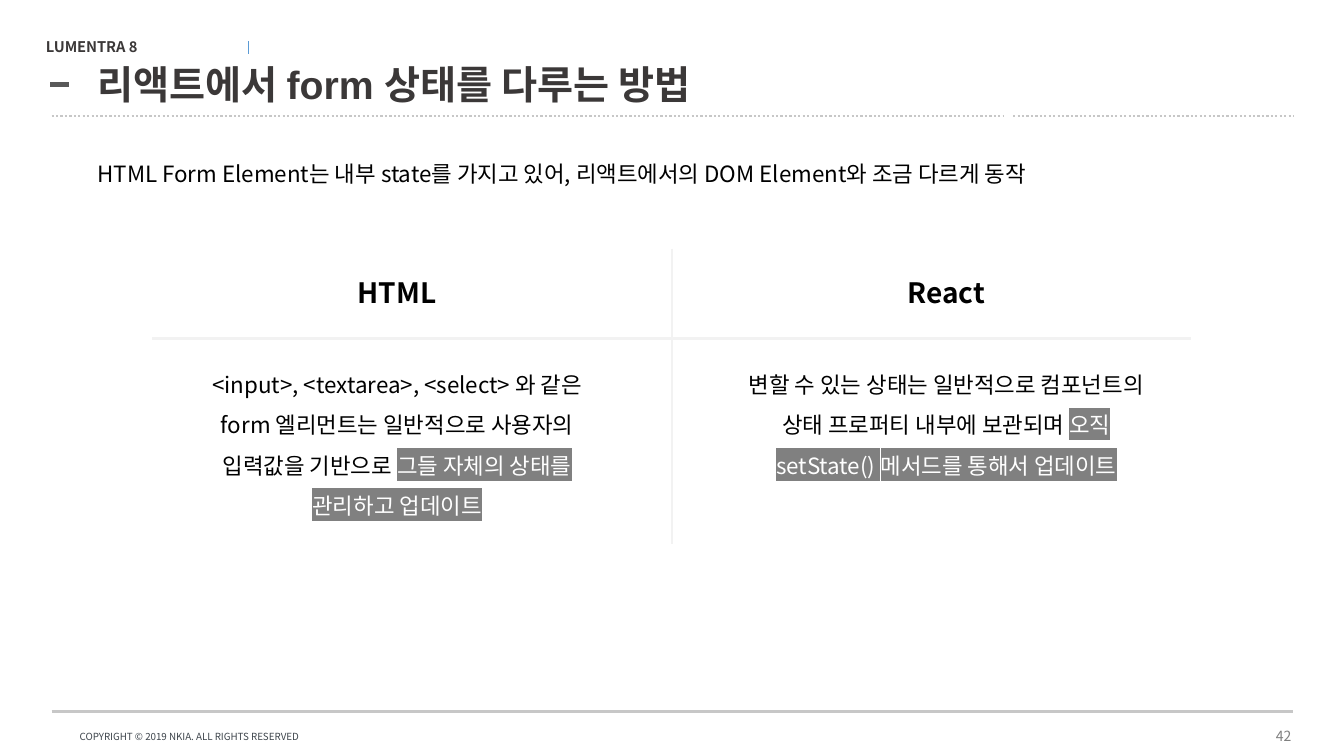
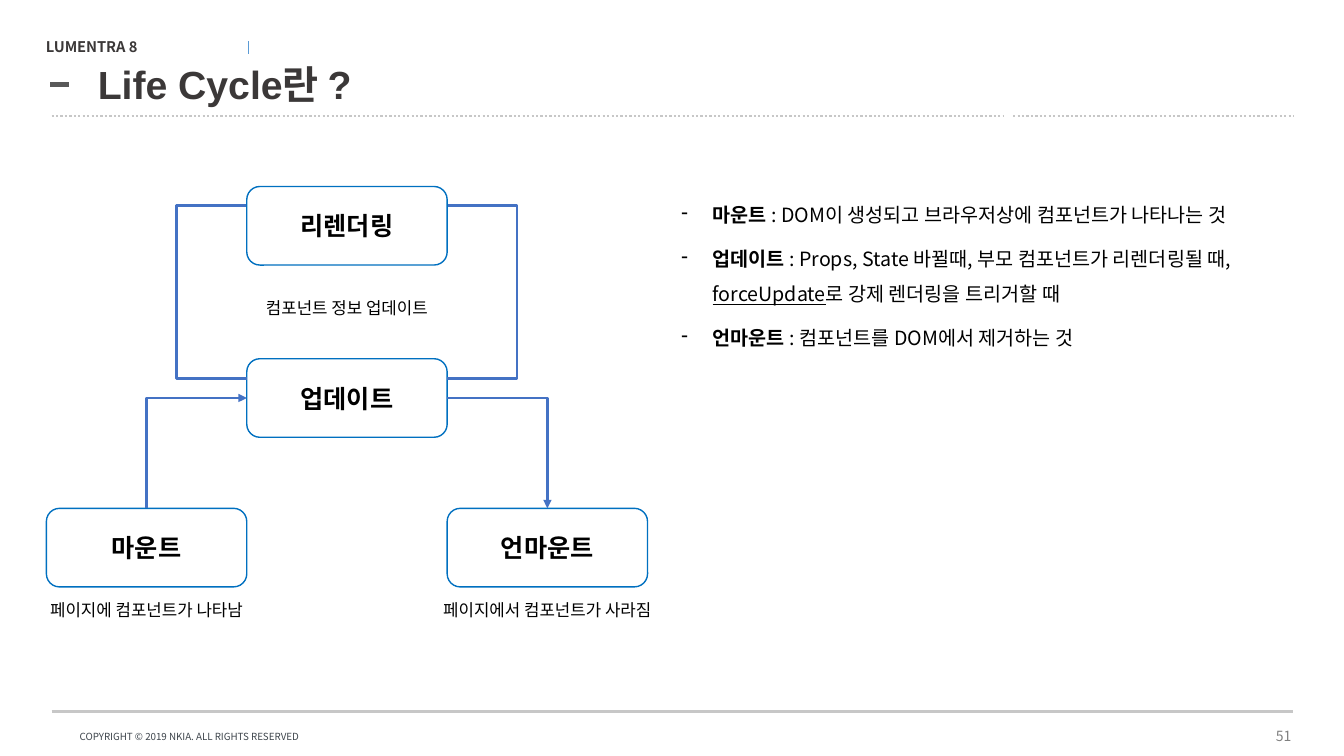
from lxml import etree
from pptx import Presentation
from pptx.dml.color import RGBColor
from pptx.enum.dml import MSO_LINE
from pptx.enum.shapes import MSO_CONNECTOR as CONNECTOR, MSO_SHAPE
from pptx.enum.text import MSO_ANCHOR as ANCHOR, MSO_AUTO_SIZE, PP_ALIGN as ALIGN
from pptx.oxml.ns import qn
from pptx.util import Cm, Pt

COLORS = {
    "title": "3B3838", "text": "000000", "white": "FFFFFF", "mark": "808080",
    "dash": "595959", "rule": "C7C7C7", "tick": "5B9BD5", "number": "808080",
    "copyright": "3E454C", "grid": "F2F2F2", "box": "0070C0", "arrow": "4472C4",
}
BODY_FONT = "Noto Sans CJK KR"
TITLE_FONT = "Arial"


def write(shape, paragraphs, size, color="text", bold=False, align=ALIGN.LEFT,
          spacing=None, bullet=None, anchor=ANCHOR.TOP, font=BODY_FONT):
    """Fill a shape; each paragraph is a list of (text, mark) runs.

    A mark is "", "bold", "underline" or "highlight".
    """
    frame = shape.text_frame
    frame.word_wrap = True
    frame.auto_size = MSO_AUTO_SIZE.NONE
    frame.vertical_anchor = anchor
    for index, runs in enumerate(paragraphs):
        paragraph = frame.add_paragraph() if index else frame.paragraphs[0]
        if bullet:
            properties = paragraph._p.get_or_add_pPr()
            properties.set("marL", str(Cm(0.79)))
            properties.set("indent", str(-Cm(0.79)))
            etree.SubElement(properties, qn("a:buChar")).set("char", bullet)
        paragraph.alignment = align
        if spacing:
            paragraph.line_spacing = spacing
        if index:
            paragraph.space_before = Pt(6)
        for text, mark in runs:
            run = paragraph.add_run()
            run.text = text
            run.font.size = Pt(size)
            run.font.bold = bold or mark == "bold"
            run.font.underline = mark == "underline"
            run_color = "white" if mark == "highlight" else color
            run.font.color.rgb = RGBColor.from_string(COLORS[run_color])
            run.font.name = font
            properties = run._r.get_or_add_rPr()
            etree.SubElement(properties, qn("a:ea")).set("typeface", BODY_FONT)
            if mark == "highlight":
                highlight = etree.Element(qn("a:highlight"))
                etree.SubElement(highlight, qn("a:srgbClr")).set("val", COLORS["mark"])
                properties.find(qn("a:solidFill")).addnext(highlight)


def add_line(slide, start, end, color, width, kind=CONNECTOR.STRAIGHT):
    line = slide.shapes.add_connector(
        kind, Cm(start[0]), Cm(start[1]), Cm(end[0]), Cm(end[1]))
    line.line.color.rgb = RGBColor.from_string(COLORS[color])
    line.line.width = Pt(width)
    etree.SubElement(line.element.spPr, qn("a:effectLst"))
    return line


presentation = Presentation()
presentation.slide_width, presentation.slide_height = Cm(33.87), Cm(19.05)
layout = presentation.slide_layouts[5]
for placeholder in list(layout.placeholders):
    if placeholder.placeholder_format.idx:
        placeholder.element.getparent().remove(placeholder.element)

# Titles and page numbers
pages = [("리액트에서 form 상태를 다루는 방법", "42"), ("Life Cycle란 ?", "51")]
slides = []
for title_text, number in pages:
    slide = presentation.slides.add_slide(layout)
    title = slide.shapes.title
    title.left, title.top, title.width, title.height = Cm(2.21), Cm(1.52), Cm(24.82), Cm(1.27)
    write(title, [[(title_text, "")]], 28, "title", bold=True, spacing=0.9, font=TITLE_FONT)
    slides.append(slide)
form_slide, cycle_slide = slides

# Shared frame: drawn once, then moved to the layout
frame_shapes = [
    add_line(form_slide, (1.27, 2.13), (1.73, 2.13), "dash", 4),
    add_line(form_slide, (6.27, 1.04), (6.27, 1.37), "tick", 0.5),
    add_line(form_slide, (1.3, 17.93), (32.59, 17.93), "rule", 1.6),
]
for left, right in [(1.3, 25.3), (25.53, 32.61)]:
    dotted = add_line(form_slide, (left, 2.92), (right, 2.92), "rule", 1.6)
    dotted.line.dash_style = MSO_LINE.ROUND_DOT
    frame_shapes.append(dotted)
product = form_slide.shapes.add_textbox(Cm(0.91), Cm(0.84), Cm(2.72), Cm(0.71))
write(product, [[("LUMENTRA 8", "")]], 10.5, "title", bold=True)
product.text_frame.word_wrap = False
copyright_box = form_slide.shapes.add_textbox(Cm(1.5), Cm(18.29), Cm(7.95), Cm(0.56))
write(copyright_box, [[("COPYRIGHT © 2019 NKIA. ALL RIGHTS RESERVED", "")]], 7,
      "copyright", anchor=ANCHOR.MIDDLE)
copyright_box.text_frame.margin_left = Cm(0.51)
for shape in frame_shapes + [product, copyright_box]:
    layout.shapes.element.append(shape.element)

for slide, (title_text, number) in zip(slides, pages):
    number_box = slide.shapes.add_textbox(Cm(31.37), Cm(18.14), Cm(1.96), Cm(0.79))
    write(number_box, [[(number, "")]], 10, "number", align=ALIGN.CENTER, anchor=ANCHOR.MIDDLE)

# Form state: HTML against React
intro = form_slide.shapes.add_textbox(Cm(2.21), Cm(3.91), Cm(26.92), Cm(0.94))
write(intro, [[("HTML Form Element는 내부 state를 가지고 있어, "
                "리액트에서의 DOM Element와 조금 다르게 동작", "")]], 16)
add_line(form_slide, (3.84, 8.53), (30.02, 8.53), "grid", 1.5)
add_line(form_slide, (16.94, 6.27), (16.94, 13.72), "grid", 1.5)
columns = [
    (10.01, "HTML",
     "<input>, <textarea>, <select> 와 같은 form 엘리먼트는 일반적으로 사용자의 입력값을 기반으로 ",
     "그들 자체의 상태를 관리하고 업데이트"),
    (23.85, "React",
     "변할 수 있는 상태는 일반적으로 컴포넌트의 상태 프로퍼티 내부에 보관되며 ",
     "오직 setState() 메서드를 통해서 업데이트"),
]
for center, heading, plain, marked in columns:
    heading_box = form_slide.shapes.add_textbox(Cm(center - 1.75), Cm(6.83), Cm(3.5), Cm(1.12))
    write(heading_box, [[(heading, "")]], 20, bold=True, align=ALIGN.CENTER)
    body = form_slide.shapes.add_textbox(Cm(center - 5.41), Cm(8.89), Cm(10.82), Cm(4.22))
    write(body, [[(plain, ""), (marked, "highlight")]], 16, align=ALIGN.CENTER, spacing=1.5)

# Life cycle diagram
BOX_WIDTH, BOX_HEIGHT, CAPTION_WIDTH = 5.05, 1.98, 6.76
box_lefts = [1.17 + column * BOX_WIDTH for column in range(3)]
stages = [
    ("리렌더링", 1, 4.7, "컴포넌트 정보 업데이트", 7.37),
    ("업데이트", 1, 9.04, None, None),
    ("마운트", 0, 12.81, "페이지에 컴포넌트가 나타남", 14.99),
    ("언마운트", 2, 12.81, "페이지에서 컴포넌트가 사라짐", 14.99),
]
boxes = {}
for name, column, top, caption, caption_top in stages:
    left = box_lefts[column]
    box = cycle_slide.shapes.add_shape(
        MSO_SHAPE.ROUNDED_RECTANGLE, Cm(left), Cm(top), Cm(BOX_WIDTH), Cm(BOX_HEIGHT))
    box.shadow.inherit = False
    box.fill.background()
    box.line.color.rgb = RGBColor.from_string(COLORS["box"])
    box.line.width = Pt(1)
    write(box, [[(name, "")]], 18, bold=True, align=ALIGN.CENTER, anchor=ANCHOR.MIDDLE)
    boxes[name] = box
    if caption:
        caption_box = cycle_slide.shapes.add_textbox(
            Cm(left + (BOX_WIDTH - CAPTION_WIDTH) / 2), Cm(caption_top),
            Cm(CAPTION_WIDTH), Cm(0.76))
        write(caption_box, [[(caption, "")]], 12, align=ALIGN.CENTER)

# One-corner arrows between the update box and the two lower boxes
for target, side, arrow_end in [("마운트", 1, "a:headEnd"), ("언마운트", 3, "a:tailEnd")]:
    arrow = add_line(cycle_slide, (0, 0), (1, 1), "arrow", 2, CONNECTOR.ELBOW)
    arrow.begin_connect(boxes["업데이트"], side)
    arrow.end_connect(boxes[target], 0)
    arrow.element.spPr.find(qn("a:prstGeom")).set("prst", "bentConnector2")
    line_element = arrow.element.spPr.find(qn("a:ln"))
    etree.SubElement(line_element, qn(arrow_end)).set("type", "triangle")

# Side loops from update to rerender, bulging outwards
LOOP_STEP, LOOP_REACH = 0.03, 1.76
for edge, direction in [(box_lefts[1], -1), (box_lefts[2], 1)]:
    loop = add_line(cycle_slide, (edge, 9.53), (edge + direction * LOOP_STEP, 5.18),
                    "arrow", 2, CONNECTOR.ELBOW)
    geometry = loop.element.spPr.find(qn("a:prstGeom"))
    guides = geometry.find(qn("a:avLst"))
    if guides is None:
        guides = etree.SubElement(geometry, qn("a:avLst"))
    guide = etree.SubElement(guides, qn("a:gd"))
    guide.set("name", "adj1")
    guide.set("fmla", f"val {round(LOOP_REACH / LOOP_STEP * 100000)}")

notes = cycle_slide.shapes.add_textbox(Cm(16.92), Cm(4.7), Cm(15.77), Cm(4.17))
write(notes, [
    [("마운트 ", "bold"), (": DOM이 생성되고 브라우저상에 컴포넌트가 나타나는 것", "")],
    [("업데이트 ", "bold"), (": Props, State 바뀔때, 부모 컴포넌트가 리렌더링될 때, ", ""),
     ("forceUpdate", "underline"), ("로 강제 렌더링을 트리거할 때", "")],
    [("언마운트 ", "bold"), (": 컴포넌트를 DOM에서 제거하는 것", "")],
], 14, spacing=1.5, bullet="-")

presentation.save("out.pptx")
